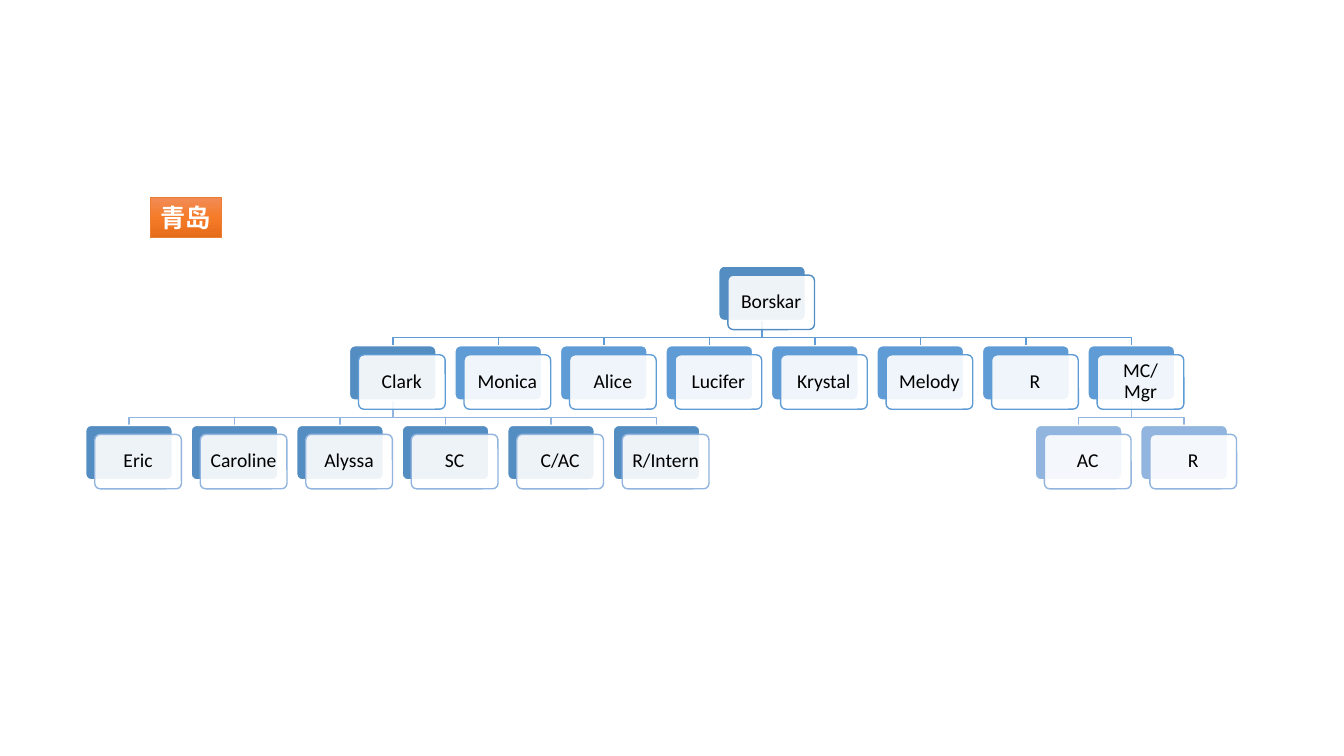
from copy import deepcopy
from dataclasses import dataclass

from lxml import etree
from pptx import Presentation
from pptx.dml.color import RGBColor
from pptx.enum import shapes, text
from pptx.oxml import ns
from pptx.util import Inches, Pt

WHITE = RGBColor(0xFF, 0xFF, 0xFF)
BLACK = RGBColor(0x00, 0x00, 0x00)
DEEP_BLUE = RGBColor(0x53, 0x8D, 0xC1)
MID_BLUE = RGBColor(0x5F, 0x9C, 0xD5)
PALE_BLUE = RGBColor(0x91, 0xB5, 0xDE)
ORANGE = RGBColor(0xED, 0x7D, 0x31)
ORANGE_STOPS = (
    (0, RGBColor(0xF1, 0x8C, 0x57)),
    (0.5, RGBColor(0xF6, 0x7B, 0x28)),
    (1, RGBColor(0xE5, 0x6C, 0x19)),
)
LEVEL_COLOURS = (DEEP_BLUE, MID_BLUE, PALE_BLUE)

LEFT, TOP = 0.85, 2.64
COLUMN_STEP, LEVEL_STEP = 10.465 / 10, 0.79
CARD_WIDTH, CARD_HEIGHT = 0.86, 0.54
FRONT_OFFSET = 0.09
ELBOW_DROP = 0.17


@dataclass(frozen=True)
class Member:
    name: str
    column: float
    level: int
    back: RGBColor
    reports: tuple["Member", ...] = ()

    @property
    def left(self) -> float:
        return LEFT + self.column * COLUMN_STEP

    @property
    def top(self) -> float:
        return TOP + self.level * LEVEL_STEP

    @property
    def centre(self) -> float:
        return self.left + CARD_WIDTH / 2


def row(names: str, first: float, level: int, back: RGBColor) -> tuple[Member, ...]:
    return tuple(
        Member(name, first + index, level, back)
        for index, name in enumerate(names.split())
    )


CLARK = Member("Clark", 2.5, 1, DEEP_BLUE,
               row("Eric Caroline Alyssa SC C/AC R/Intern", 0, 2, DEEP_BLUE))
MANAGER = Member("MC/Mgr", 9.5, 1, MID_BLUE, row("AC R", 9, 2, PALE_BLUE))
PEERS = row("Monica Alice Lucifer Krystal Melody R", 3.5, 1, MID_BLUE)
HEAD = Member("Borskar", 6, 0, DEEP_BLUE, (CLARK, *PEERS, MANAGER))


def write_text(box, content: str, *, size: float, colour: RGBColor, bold: bool = False,
               align=text.PP_ALIGN.LEFT, spacing: float = 1.0) -> None:
    para = box.text_frame.paragraphs[0]
    para.alignment = align
    para.line_spacing = spacing
    span = para.add_run()
    span.text = content
    span.font.name = "Calibri"
    span.font.size = Pt(size)
    span.font.bold = bold
    span.font.color.rgb = colour


def draw_elbow(page, boss: Member, report: Member) -> None:
    start = boss.top + CARD_HEIGHT
    bend = start + ELBOW_DROP
    builder = page.shapes.build_freeform(Inches(boss.centre), Inches(start))
    corners = ((boss.centre, bend), (report.centre, bend), (report.centre, report.top))
    builder.add_line_segments([(Inches(x), Inches(y)) for x, y in corners], close=False)
    elbow = builder.convert_to_shape()
    elbow.shadow.inherit = False
    elbow.fill.background()
    elbow.line.color.rgb = LEVEL_COLOURS[report.level]
    elbow.line.width = Pt(1)


def draw_links(page, boss: Member) -> None:
    for report in boss.reports:
        draw_links(page, report)
        draw_elbow(page, boss, report)


def add_card(page, left: float, top: float, fill: RGBColor, line: RGBColor):
    card = page.shapes.add_shape(
        shapes.MSO_SHAPE.ROUNDED_RECTANGLE,
        Inches(left), Inches(top), Inches(CARD_WIDTH), Inches(CARD_HEIGHT))
    card.adjustments[0] = 0.1
    card.shadow.inherit = False
    card.fill.solid()
    card.fill.fore_color.rgb = fill
    card.line.color.rgb = line
    card.line.width = Pt(1)
    return card


def draw_member(page, member: Member) -> None:
    add_card(page, member.left, member.top, member.back, WHITE)
    front = add_card(page, member.left + FRONT_OFFSET, member.top + FRONT_OFFSET,
                     WHITE, LEVEL_COLOURS[member.level])
    colour = front.element.spPr.find(ns.qn("a:solidFill")).find(ns.qn("a:srgbClr"))
    etree.SubElement(colour, ns.qn("a:alpha")).set("val", "90000")
    frame = front.text_frame
    frame.word_wrap = True
    frame.vertical_anchor = text.MSO_ANCHOR.MIDDLE
    frame.margin_left = frame.margin_right = Inches(0.08)
    frame.margin_top = frame.margin_bottom = Inches(0.08)
    write_text(front, member.name, size=14, colour=BLACK,
               align=text.PP_ALIGN.CENTER, spacing=0.9)
    for report in member.reports:
        draw_member(page, report)


def draw_city(page) -> None:
    city = page.shapes.add_shape(shapes.MSO_SHAPE.RECTANGLE, Inches(1.49), Inches(1.96),
                                 Inches(0.71), Inches(0.4))
    city.shadow.inherit = False
    city.fill.gradient()
    city.fill.gradient_angle = 270
    stop_list = city.element.spPr.find(ns.qn("a:gradFill")).find(ns.qn("a:gsLst"))
    stop_list.append(deepcopy(stop_list[0]))
    for stop, (position, colour) in zip(city.fill.gradient_stops, ORANGE_STOPS):
        stop.position = position
        stop.color.rgb = colour
    city.line.color.rgb = ORANGE
    city.line.width = Pt(0.5)
    frame = city.text_frame
    frame.word_wrap = False
    frame.auto_size = text.MSO_AUTO_SIZE.SHAPE_TO_FIT_TEXT
    frame.vertical_anchor = text.MSO_ANCHOR.TOP
    write_text(city, "青岛", size=18, colour=WHITE, bold=True)


def main() -> None:
    deck = Presentation()
    deck.slide_width = Inches(13.33)
    deck.slide_height = Inches(7.5)
    page = deck.slides.add_slide(deck.slide_layouts[6])
    draw_links(page, HEAD)
    draw_member(page, HEAD)
    draw_city(page)
    deck.save("out.pptx")


if __name__ == "__main__":
    main()
